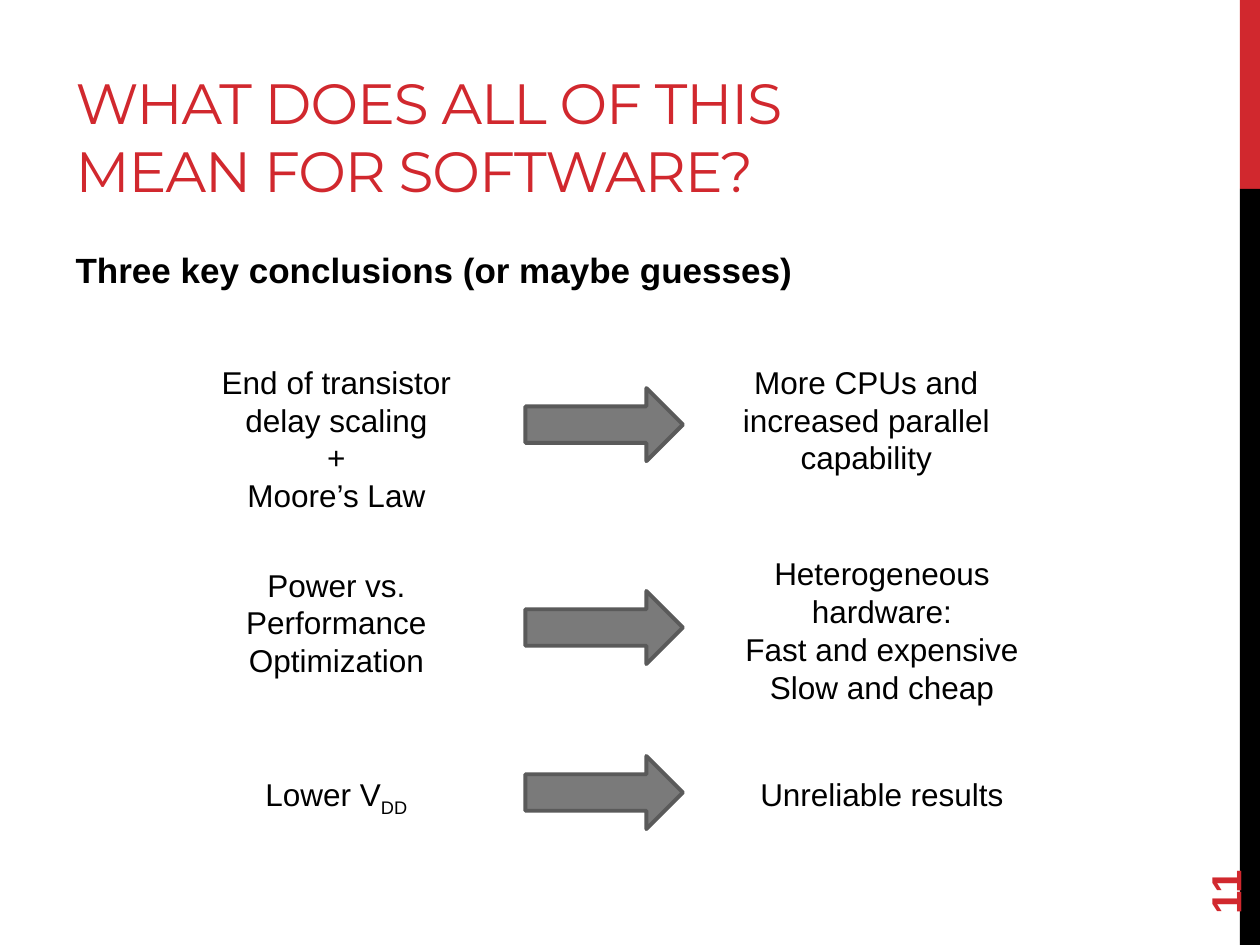
from dataclasses import dataclass

from pptx import Presentation
from pptx.dml.color import RGBColor
from pptx.enum.shapes import MSO_SHAPE
from pptx.enum.text import MSO_ANCHOR, MSO_AUTO_SIZE, PP_ALIGN
from pptx.oxml.ns import qn
from pptx.util import Inches, Pt


@dataclass(frozen=True)
class Theme:
    red: RGBColor = RGBColor(0xD1, 0x28, 0x2E)
    black: RGBColor = RGBColor(0, 0, 0)
    arrow_fill: RGBColor = RGBColor(0x7A, 0x7A, 0x7A)
    arrow_line: RGBColor = RGBColor(0x5A, 0x5A, 0x5A)
    heading_font: str = "Montserrat"
    text_font: str = "Arial"
    title_size: float = 32.4
    lead_size: float = 20
    label_size: float = 18
    number_size: float = 24


class SlideBuilder:
    def __init__(self, slide, theme):
        self.slide = slide
        self.theme = theme

    def place(self, shape, box):
        for side, value in zip(("left", "top", "width", "height"), box):
            setattr(shape, side, Inches(value))

    def add_text(self, paragraph, text, size, color, font=None, bold=False):
        run = paragraph.add_run()
        run.text = text
        style = {"name": font or self.theme.text_font, "size": Pt(size), "bold": bold}
        for attribute, value in style.items():
            setattr(run.font, attribute, value)
        run.font.color.rgb = color
        return run

    def format_frame(self, frame, anchor, auto_size=MSO_AUTO_SIZE.NONE):
        settings = {"word_wrap": True, "vertical_anchor": anchor, "auto_size": auto_size}
        for attribute, value in settings.items():
            setattr(frame, attribute, value)

    def title(self, text, box):
        heading = self.slide.shapes.title
        self.place(heading, box)
        self.format_frame(heading.text_frame, MSO_ANCHOR.BOTTOM)
        paragraph = heading.text_frame.paragraphs[0]
        paragraph.alignment = PP_ALIGN.LEFT
        run = self.add_text(paragraph, text, self.theme.title_size, self.theme.red,
                            self.theme.heading_font)
        run._r.get_or_add_rPr().set("spc", "-60")

    def lead(self, text, box):
        body = self.slide.placeholders[1]
        self.place(body, box)
        self.format_frame(body.text_frame, MSO_ANCHOR.TOP)
        paragraph = body.text_frame.paragraphs[0]
        paragraph.space_after = Pt(6)
        # No bullet, no hanging indent
        properties = paragraph._p.get_or_add_pPr()
        for attribute in ("marL", "indent"):
            properties.set(attribute, "0")
        properties.append(properties.makeelement(qn("a:buNone"), {}))
        self.add_text(paragraph, text, self.theme.lead_size, self.theme.black, bold=True)

    def band(self, box, color):
        band = self.slide.shapes.add_shape(MSO_SHAPE.RECTANGLE, *map(Inches, box))
        band.shadow.inherit = False
        band.fill.solid()
        band.fill.fore_color.rgb = color
        band.line.fill.background()

    def arrow(self, box):
        arrow = self.slide.shapes.add_shape(MSO_SHAPE.RIGHT_ARROW, *map(Inches, box))
        arrow.shadow.inherit = False
        arrow.fill.solid()
        arrow.fill.fore_color.rgb = self.theme.arrow_fill
        arrow.line.color.rgb = self.theme.arrow_line
        arrow.line.width = Pt(2.25)

    def label(self, lines, box, subscript=None):
        frame = self.slide.shapes.add_textbox(*map(Inches, box)).text_frame
        self.format_frame(frame, MSO_ANCHOR.TOP, MSO_AUTO_SIZE.SHAPE_TO_FIT_TEXT)
        size, color = self.theme.label_size, self.theme.black
        for index, line in enumerate(lines):
            paragraph = frame.add_paragraph() if index else frame.paragraphs[0]
            paragraph.alignment = PP_ALIGN.CENTER
            self.add_text(paragraph, line, size, color)
        if subscript:
            run = self.add_text(paragraph, subscript, size, color)
            run._r.get_or_add_rPr().set("baseline", "-25000")

    def page_number(self, text, box):
        number = self.slide.shapes.add_textbox(*map(Inches, box))
        number.rotation = 270
        self.format_frame(number.text_frame, MSO_ANCHOR.MIDDLE)
        self.add_text(number.text_frame.paragraphs[0], text, self.theme.number_size,
                      self.theme.red, bold=True)


def main():
    deck = Presentation()
    deck.slide_width, deck.slide_height = Inches(10), Inches(7.5)
    theme = Theme()
    builder = SlideBuilder(deck.slides.add_slide(deck.slide_layouts[1]), theme)

    # Side bands
    builder.band((9.84, 0, 0.16, 1.5), theme.red)
    builder.band((9.84, 1.5, 0.16, 6), theme.black)

    # Heading, lead line and page number
    builder.title("WHAT DOES ALL OF THIS MEAN FOR SOFTWARE?", (0.5, 0.17, 6.33, 1.5))
    builder.lead("Three key conclusions (or maybe guesses)", (0.5, 1.92, 8.33, 4.78))
    builder.page_number("11", (9, 6.44, 1.44, 0.4))

    # Cause, arrow and conclusion; heights follow the number of lines shown
    line_heights = {1: 0.4, 3: 1.01, 4: 1.31}
    conclusions = [
        # cause, subscript, top, lines; arrow top; result, top, lines, width
        (["End of transistor delay scaling", "+", "Moore’s Law"], None, 2.83, 4, 3.08,
         ["More CPUs and increased parallel capability"], 2.83, 3, 2.25),
        (["Power vs. Performance Optimization"], None, 4.44, 3, 4.69,
         ["Heterogeneous hardware:", "Fast and expensive", "Slow and cheap"], 4.35, 4, 2.5),
        (["Lower V"], "DD", 6.1, 1, 6,
         ["Unreliable results"], 6.1, 1, 2.5),
    ]
    for (cause, subscript, cause_top, cause_lines, arrow_top,
         result, result_top, result_lines, result_width) in conclusions:
        builder.label(cause, (1.42, cause_top, 2.5, line_heights[cause_lines]), subscript)
        builder.arrow((4.17, arrow_top, 1.25, 0.58))
        builder.label(result, (5.75, result_top, result_width, line_heights[result_lines]))

    deck.save("out.pptx")


if __name__ == "__main__":
    main()
